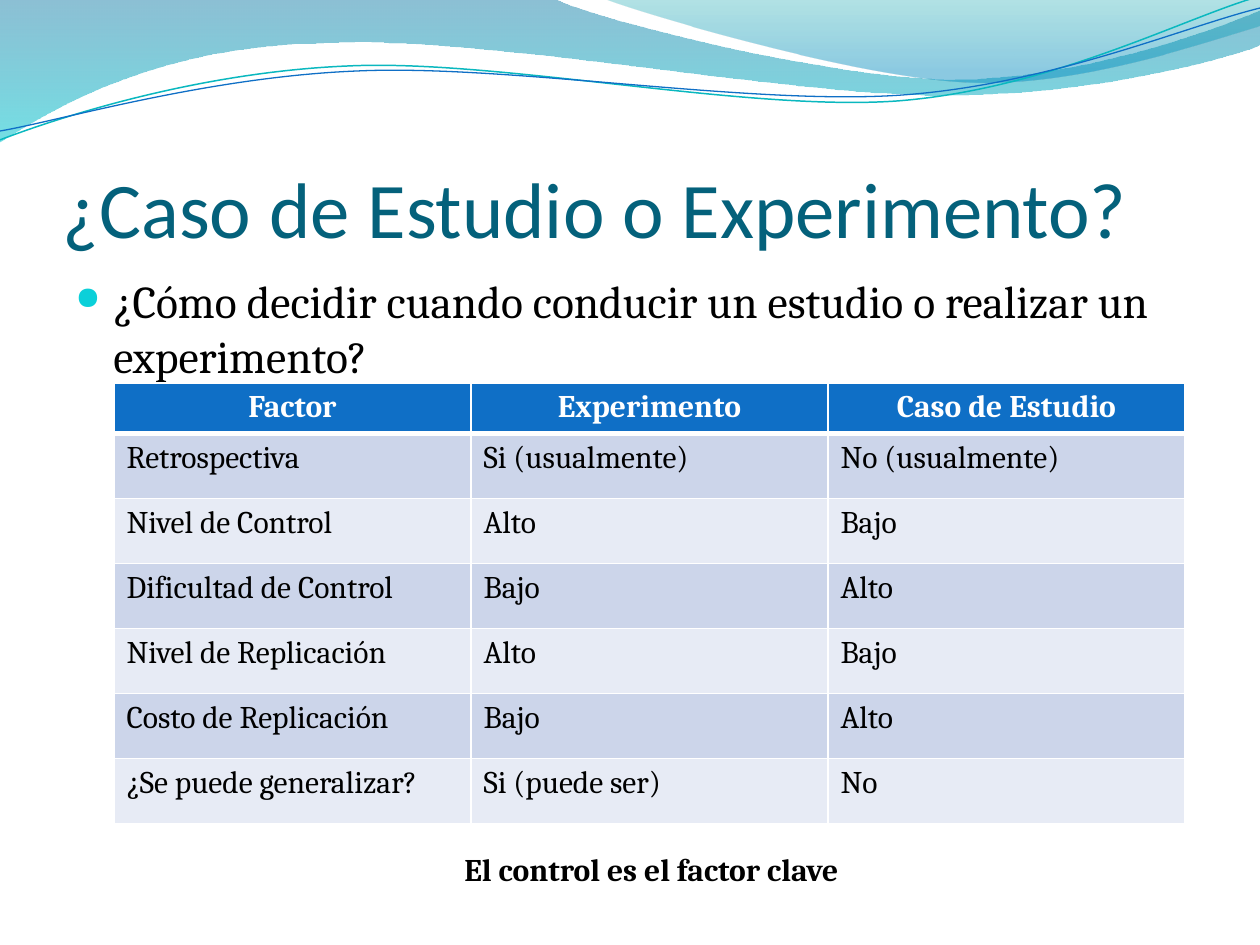
from math import cos, radians, sin
from typing import NamedTuple, Optional

from lxml.etree import SubElement
from pptx import Presentation
from pptx.dml.color import RGBColor
from pptx.enum.text import MSO_ANCHOR as Anchor, PP_ALIGN as Align
from pptx.oxml import parse_xml
from pptx.oxml.ns import nsdecls, qn
from pptx.util import Emu, Pt

PX_PER_INCH = 126
EMU_PER_PX = 914400 / PX_PER_INCH

WHITE = RGBColor(0xFF, 0xFF, 0xFF)
BLACK = RGBColor(0, 0, 0)
BLUE = RGBColor(0x0F, 0x6F, 0xC6)
TEAL = RGBColor(0x0A, 0xB8, 0xBF)
TITLE_BLUE = RGBColor(0x04, 0x61, 0x7B)
BULLET_CYAN = RGBColor(0x0B, 0xD0, 0xD9)
BAND_DARK = RGBColor(0xCC, 0xD5, 0xEA)
BAND_LIGHT = RGBColor(0xE7, 0xEB, 0xF5)


class Stop(NamedTuple):
    position: float
    color: RGBColor
    opacity: int


class Wave(NamedTuple):
    """Outline of segments: one point is a straight line, three are a Bézier curve."""
    start: tuple
    segments: list
    stops: tuple = ()
    line: Optional[RGBColor] = None
    width: float = 0
    rotation: float = 0
    center: tuple = (0, 0)


class Label(NamedTuple):
    text: str
    box: tuple
    font: str
    size: int
    color: RGBColor
    bold: bool = False
    wrap: bool = True


WAVES = [
    Wave((0, 0), [
        [(554, -1)],
        [(600, 21), (837, 79), (955, 79)],
        [(1075, 79), (1207, 33), (1260, 11)],
        [(1261, 45)],
        [(1239, 55), (1096, 96), (940, 95)],
        [(781, 95), (481, 35), (324, 43)],
        [(163, 45), (58, 105), (-1, 142)],
    ], stops=(Stop(0, RGBColor(0x00, 0x74, 0xA1), 45),
              Stop(1, RGBColor(0x00, 0xC6, 0xCF), 55))),
    Wave((604, -1), [
        [(641, 14), (859, 78), (969, 82)],
        [(1079, 87), (1211, 40), (1260, 26)],
        [(1260, 0)],
    ], stops=(Stop(0, RGBColor(0x00, 0xA1, 0xA9), 30),
              Stop(0.8, RGBColor(0x00, 0x8B, 0xBF), 45))),
    Wave((0, 140), [
        [(60, 117), (199, 72), (349, 66)],
        [(498, 59), (747, 112), (898, 101)],
        [(1050, 89), (1182, 19), (1257, -3)],
    ], line=TEAL, width=0.85, rotation=-2.7, center=(629, 72)),
    Wave((0, 131), [
        [(59, 121), (207, 77), (357, 71)],
        [(508, 64), (752, 106), (903, 95)],
        [(1053, 84), (1186, 26), (1260, 8)],
    ], line=BLUE, width=0.75, rotation=-2.7, center=(629, 74)),
]

TITLE = Label("¿Caso de Estudio o Experimento?", (63, 96, 1134, 158),
              "Calibri", 45, TITLE_BLUE)
QUESTION = Label("¿Cómo decidir cuando conducir un estudio o realizar un experimento?",
                 (63, 267, 1134, 126), "Cambria", 26, BLACK)
CONCLUSION = Label("El control es el factor clave", (452, 844, 420, 50),
                   "Cambria", 18, BLACK, bold=True, wrap=False)

TABLE_LEFT, TABLE_TOP, TABLE_HEIGHT = 114, 383, 442
COLUMN_WIDTH, HEADER_HEIGHT, ROW_HEIGHT = 357, 35, 65
ROWS = [
    ("Factor", "Experimento", "Caso de Estudio"),
    ("Retrospectiva", "Si (usualmente)", "No (usualmente)"),
    ("Nivel de Control", "Alto", "Bajo"),
    ("Dificultad de Control", "Bajo", "Alto"),
    ("Nivel de Replicación", "Alto", "Bajo"),
    ("Costo de Replicación", "Bajo", "Alto"),
    ("¿Se puede generalizar?", "Si (puede ser)", "No"),
]


def px(n: float) -> Emu:
    return Emu(round(n * EMU_PER_PX))


def unrotate(point: tuple, wave: Wave) -> tuple:
    """Place of a point, in EMU, before the wave is turned about its center."""
    angle = radians(-wave.rotation)
    cx, cy = wave.center
    dx, dy = point[0] - cx, point[1] - cy
    return (px(cx + dx * cos(angle) - dy * sin(angle)),
            px(cy + dx * sin(angle) + dy * cos(angle)))


def bend(shape, segments: list) -> None:
    """Join each three straight steps of a curved segment into one Bézier curve."""
    steps = iter(list(shape._element.iter(qn("a:lnTo"))))
    for segment in segments:
        first, *others = [next(steps) for _ in segment]
        for step in others:
            first.append(step[0])
            step.getparent().remove(step)
        if others:
            first.tag = qn("a:cubicBezTo")


def add_wave(slide, wave: Wave) -> None:
    builder = slide.shapes.build_freeform(*unrotate(wave.start, wave))
    builder.add_line_segments([unrotate(point, wave) for segment in wave.segments
                               for point in segment], close=bool(wave.stops))
    s = builder.convert_to_shape()
    bend(s, wave.segments)
    s.rotation = wave.rotation
    s.shadow.inherit = False
    if wave.line is not None:
        s.fill.background()
        s.line.color.rgb = wave.line
        s.line.width = Pt(wave.width)
        return
    s.line.fill.background()
    s.fill.gradient()
    s.fill.gradient_angle = 270
    for gradient_stop, stop in zip(s.fill.gradient_stops, wave.stops):
        gradient_stop.position = stop.position
        gradient_stop.color.rgb = stop.color
    for color, stop in zip(s._element.spPr.iter(qn("a:srgbClr")), wave.stops):
        SubElement(color, qn("a:alpha")).set("val", str(stop.opacity * 1000))


def style_text(p, font: str, size: int, color: RGBColor, bold: bool) -> None:
    for r in p.runs:
        r.font.name = font
        r.font.size = Pt(size)
        r.font.color.rgb = color
        r.font.bold = bold


def add_label(slide, label: Label):
    tf = slide.shapes.add_textbox(*map(px, label.box)).text_frame
    tf.word_wrap = label.wrap
    tf.text = label.text
    style_text(tf.paragraphs[0], label.font, label.size, label.color, label.bold)
    return tf


def add_bullet(p, indent: int, color: RGBColor) -> None:
    pPr = p._p.get_or_add_pPr()
    pPr.set("marL", str(px(indent)))
    pPr.set("indent", str(-px(indent)))
    for xml in (f'<a:buClr {nsdecls("a")}><a:srgbClr val="{color}"/></a:buClr>',
                f'<a:buSzPct {nsdecls("a")} val="70000"/>',
                f'<a:buChar {nsdecls("a")} char="●"/>'):
        pPr.append(parse_xml(xml))


def set_borders(cell, top: int, bottom: int) -> None:
    tcPr = cell._tc.get_or_add_tcPr()
    widths = {"lnL": 1, "lnR": 1, "lnT": top, "lnB": bottom}
    for i, (side, width) in enumerate(widths.items()):
        tcPr.insert(i, parse_xml(
            f'<a:{side} {nsdecls("a")} w="{Pt(width)}"><a:solidFill>'
            f'<a:srgbClr val="{WHITE}"/></a:solidFill></a:{side}>'))


def add_factor_table(slide) -> None:
    columns = len(ROWS[0])
    frame = slide.shapes.add_table(len(ROWS), columns, px(TABLE_LEFT), px(TABLE_TOP),
                                   px(COLUMN_WIDTH * columns), px(TABLE_HEIGHT))
    table = frame.table
    for i, texts in enumerate(ROWS):
        header = i == 0
        table.rows[i].height = px(HEADER_HEIGHT if header else ROW_HEIGHT)
        for j, text in enumerate(texts):
            cell = table.cell(i, j)
            cell.text = text
            p = cell.text_frame.paragraphs[0]
            p.alignment = Align.CENTER if header else Align.LEFT
            style_text(p, "Cambria", 18, WHITE if header else BLACK, header)
            cell.fill.solid()
            cell.fill.fore_color.rgb = BLUE if header else BAND_DARK if i % 2 else BAND_LIGHT
            set_borders(cell, top=3 if i == 1 else 1, bottom=3 if header else 1)
    frame.height = px(TABLE_HEIGHT)


def main() -> None:
    prs = Presentation()
    prs.slide_width, prs.slide_height = px(1260), px(945)
    slide = prs.slides.add_slide(prs.slide_layouts[6])
    for wave in WAVES:
        add_wave(slide, wave)

    tf = add_label(slide, TITLE)
    tf.vertical_anchor = Anchor.BOTTOM
    tf.margin_left = tf.margin_right = tf.margin_bottom = 0

    p = add_label(slide, QUESTION).paragraphs[0]
    p.space_before = Pt(5)
    add_bullet(p, 38, BULLET_CYAN)

    add_factor_table(slide)
    add_label(slide, CONCLUSION)
    prs.save("out.pptx")


if __name__ == "__main__":
    main()
